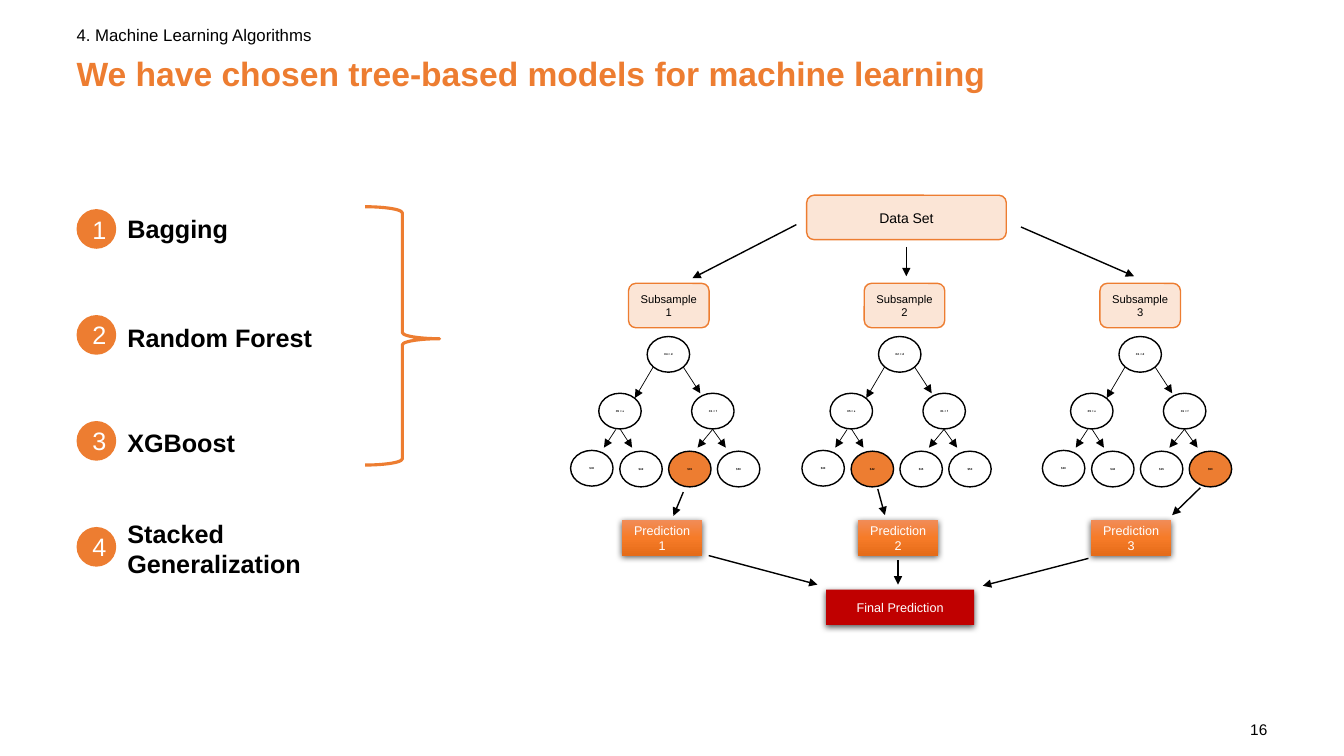
from copy import deepcopy
from pptx import Presentation
from pptx import util as u
from pptx.dml.color import RGBColor
from pptx.enum import shapes, text
from pptx.oxml import parse_xml
from pptx.oxml.ns import nsdecls, qn

Cm, Pt = u.Cm, u.Pt
rgb = RGBColor.from_string
MSO = shapes.MSO_SHAPE
ORANGE, PEACH, BLACK, WHITE = "ED7D31", "FBE5D6", "000000", "FFFFFF"

prs = Presentation()
prs.slide_width, prs.slide_height = Cm(33.87), Cm(19.05)
s = prs.slides.add_slide(prs.slide_layouts[6])


def box(kind, x, y, w, h, label="", size=18, color=BLACK, bold=False,
        fill=None, line=None, weight=1, insets=(0.25, 0.13, 0.25, 0.13),
        anchor="MIDDLE", align="CENTER"):
    at = Cm(x), Cm(y), Cm(w), Cm(h)
    if kind is None:
        sp = s.shapes.add_textbox(*at)
    else:
        sp = s.shapes.add_shape(kind, *at)
        sp.shadow.inherit = False
        if fill:
            sp.fill.solid()
            sp.fill.fore_color.rgb = rgb(fill)
        else:
            sp.fill.background()
        if line:
            sp.line.color.rgb = rgb(line)
            sp.line.width = Pt(weight)
        else:
            sp.line.fill.background()
    if label:
        tf = sp.text_frame
        tf.word_wrap = True
        tf.vertical_anchor = text.MSO_ANCHOR[anchor]
        tf.margin_left, tf.margin_top, tf.margin_right, tf.margin_bottom = map(Cm, insets)
        p = tf.paragraphs[0]
        p.text = label
        p.alignment = text.PP_ALIGN[align]
        p.font.name, p.font.size, p.font.bold = "Arial", Pt(size), bold
        p.font.color.rgb = rgb(color)
    return sp


def arrow(x1, y1, x2, y2, weight=1):
    c = s.shapes.add_connector(shapes.MSO_CONNECTOR.STRAIGHT, Cm(x1), Cm(y1), Cm(x2), Cm(y2))
    c.line.color.rgb = rgb(BLACK)
    c.line.width = Pt(weight)
    ln = c.line._get_or_add_ln()
    ln.append(parse_xml(f'<a:tailEnd {nsdecls("a")} type="triangle"/>'))
    c._element.spPr.append(parse_xml(f'<a:effectLst {nsdecls("a")}/>'))


title = box(None, 1.93, 1.32, 26.59, 2.59, "We have chosen tree-based models for machine learning",
            24, ORANGE, True, insets=(0, 0.13, 0.25, 0.13), anchor="TOP", align="LEFT")
title.text_frame.paragraphs[0].line_spacing = 0.9
box(None, 1.93, 0.58, 25.81, 0.61, "4. Machine Learning Algorithms", 12,
    insets=(0, 0, 0, 0), align="LEFT")
box(None, 30.24, 18.02, 1.7, 0.76, "16", 11, insets=(0, 0.13, 0, 0.13),
    anchor="TOP", align="RIGHT")

models = [("Bagging", 5.03, 5.16), ("Random Forest", 7.78, 5.16),
          ("XGBoost", 10.43, 5.16), ("Stacked Generalization", 13.1, 5.41)]
for i, (model, top, width) in enumerate(models):
    box(MSO.OVAL, 1.93, 5.27 + 2.67 * i, 1, 1, str(i + 1), 18, WHITE, fill=ORANGE)
    box(None, 3.11, top, width, 1.35, model, 18, bold=True,
        insets=(0.1, 0.1, 0.1, 0), align="LEFT")

brace = box(MSO.RIGHT_BRACE, 9.2, 5.21, 1.88, 6.51, line=ORANGE, weight=2.25)
brace.adjustments[0], brace.adjustments[1] = 0.083, 0.511

box(MSO.ROUNDED_RECTANGLE, 20.33, 4.92, 5.03, 1.12, "Data Set", 10, fill=PEACH, line=ORANGE)

splits = [(-1.22, 9.91, "X5 < e"), (1.12, 9.91, "X1 < f")]
leaves = [(-1.93, 11.35, "$30"), (-0.69, 11.37, "$42"), (0.54, 11.37, "$15"), (1.77, 11.37, "$50")]
branches = [(0.15, 9.25, -0.31, 10.03), (0.91, 9.25, 1.34, 9.91),
            (1.65, 10.82, 1.98, 11.28), (1.65, 10.82, 1.27, 11.28),
            (-0.79, 10.82, -1.09, 11.28), (-0.69, 10.8, -0.38, 11.28)]
trees = [(16.31, "X4 < d", "$15", 15.67), (22.14, "X2 < d", "$42", 21.62),
         (28.2, "X1 < d", "$50", 27.49)]
shadowed = []
for i, (x, root, chosen, prediction_x) in enumerate(trees):
    box(MSO.ROUNDED_RECTANGLE, 15.84 + 5.94 * i, 7.14, 2.03, 1.12, f"Subsample {i + 1}", 8,
        fill=PEACH, line=ORANGE)
    for dx, y, label in [(0, 8.48, root)] + splits + leaves:
        box(MSO.OVAL, x + dx, y, 1.07, 0.9, label, 2, bold=True,
            fill=ORANGE if label == chosen else None, line=BLACK)
    for x1, y1, x2, y2 in branches:
        arrow(x + x1, y1, x + x2, y2, 0.5)
    sp = box(MSO.RECTANGLE, prediction_x, 13.11, 2.03, 0.89, f"Prediction {i + 1}", 9, WHITE)
    sp.fill.gradient()
    sp.fill.gradient_angle = 270
    stops = sp._element.spPr.find(".//" + qn("a:gsLst"))
    stops.insert(1, deepcopy(stops[0]))
    for stop, position, color in zip(sp.fill.gradient_stops, (0, 0.5, 1),
                                     ("F18C57", "F67B28", "E56C19")):
        stop.position = position
        stop.color.rgb = rgb(color)
    shadowed.append(sp)

shadowed.append(box(MSO.RECTANGLE, 20.82, 14.86, 3.73, 0.89, "Final Prediction", 9, WHITE,
                    fill="C00000"))
for sp in shadowed:
    sp._element.spPr.find(qn("a:effectLst")).append(parse_xml(
        f'<a:outerShdw {nsdecls("a")} blurRad="57150" dist="19050" dir="5400000" '
        'algn="ctr" rotWithShape="0"><a:srgbClr val="000000"><a:alpha val="63000"/>'
        '</a:srgbClr></a:outerShdw>'))

flow = [(22.84, 6.22, 22.84, 6.96), (25.73, 5.72, 28.58, 6.96), (20.07, 5.66, 17.45, 7.01),
        (17.22, 12.4, 16.97, 13), (22.12, 12.32, 22.3, 12.98), (30.25, 12.29, 29.54, 12.98),
        (22.63, 14.12, 22.63, 14.73), (17.86, 14, 20.6, 14.73), (27.43, 14.07, 24.77, 14.76)]
for ends in flow:
    arrow(*ends)

prs.save("out.pptx")
